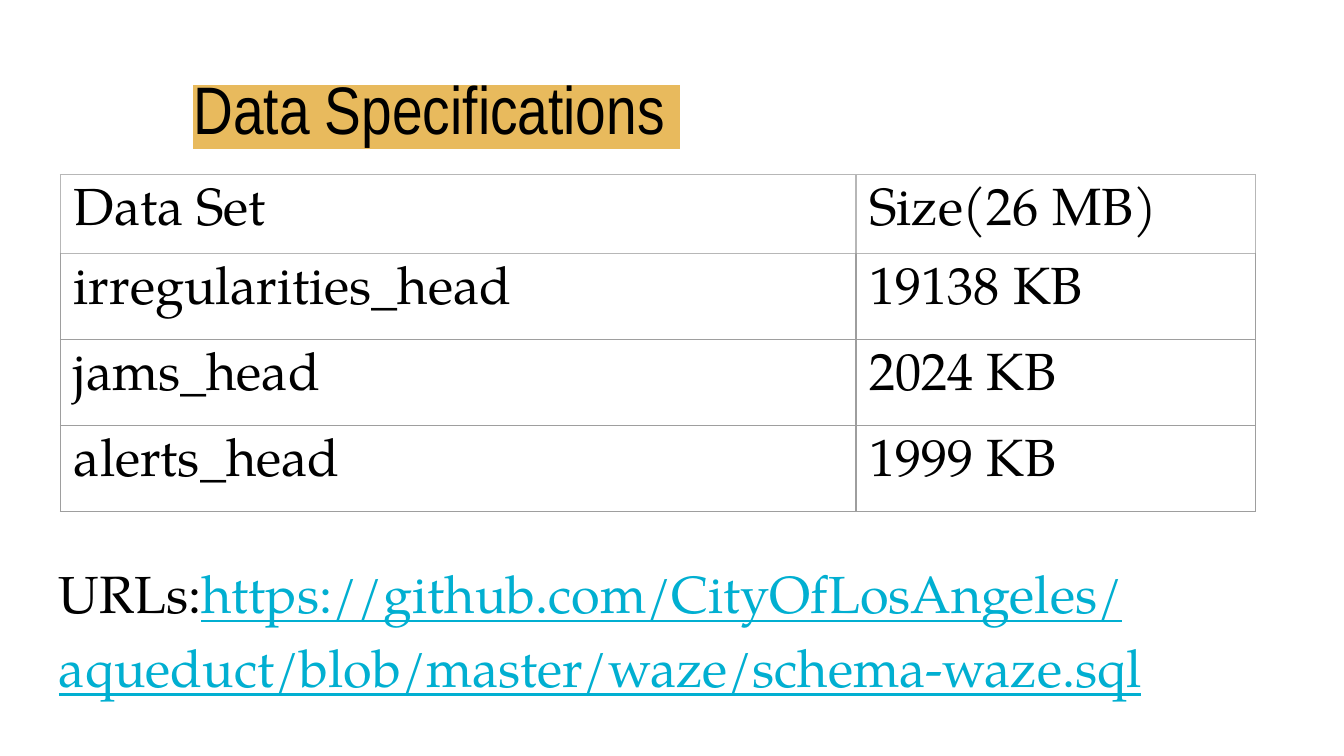
from lxml.etree import SubElement
from pptx import Presentation
from pptx.dml.color import RGBColor
from pptx.enum.text import MSO_ANCHOR
from pptx.oxml import parse_xml
from pptx.oxml.ns import nsdecls, qn
from pptx.util import Inches, Pt

TITLE = "Data Specifications "
ROWS = [
    ("Data Set", "Size(26 MB)"),
    ("irregularities_head", "19138 KB"),
    ("jams_head", "2024 KB"),
    ("alerts_head", "1999 KB"),
]
URL_LABEL = "URLs:"
URL = "https://github.com/CityOfLosAngeles/aqueduct/blob/master/waze/schema-waze.sql"

THEME = {
    "ink": "000000",
    "link": "01AFD1",
    "highlight": "E8BA5D",
    "head_border": "B7B7B7",
    "body_border": "9E9E9E",
    "title": {"name": "Arial Narrow", "size": Pt(36)},
    "body": {"name": "TeX Gyre Pagella", "size": Pt(28)},
    "line_spacing": Pt(39.6),
    "border": Pt(0.75),
}
PAGE_WIDTH = 10
PAGE_HEIGHT = PAGE_WIDTH * 9 / 16
INSET = 0.1
CELL_MARGINS = {"left": INSET, "right": INSET, "top": INSET, "bottom": 0.02}
COLUMN_WIDTHS = (5.92, 2.97)
ROW_HEIGHTS = (0.37, 0.64, 0.64, 0.64)


def set_all(target, values):
    for name, value in values.items():
        setattr(target, name, value)


def margins(sizes):
    return {f"margin_{side}": Inches(size) for side, size in sizes.items()}


def add_span(para, text, style, color, **extra):
    span = para.add_run()
    span.text = text
    set_all(span.font, {**style, **extra})
    span.font.color.rgb = RGBColor.from_string(color)
    return span


def add_box(page, left, top, width, height):
    box = page.shapes.add_textbox(*map(Inches, (left, top, width, height)))
    set_all(box.text_frame, {
        "word_wrap": True,
        "vertical_anchor": MSO_ANCHOR.TOP,
        **margins(dict.fromkeys(CELL_MARGINS, INSET)),
    })
    return box.text_frame.paragraphs[0]


def highlight(span, color):
    mark = parse_xml(f'<a:highlight {nsdecls("a")}><a:srgbClr val="{color}"/></a:highlight>')
    span._r.rPr.find(qn("a:solidFill")).addnext(mark)


def set_borders(cell, colors):
    properties = cell._tc.get_or_add_tcPr()
    for index, (side, color) in enumerate(colors.items()):
        line = SubElement(properties, qn(f"a:ln{side}"), w=str(int(THEME["border"])))
        fill = SubElement(line, qn("a:solidFill"))
        SubElement(fill, qn("a:srgbClr"), val=color)
        properties.insert(index, line)


def add_data_table(page):
    frame = page.shapes.add_table(
        len(ROWS), len(COLUMN_WIDTHS), Inches(0.45), Inches(1.3),
        Inches(sum(COLUMN_WIDTHS)), Inches(sum(ROW_HEIGHTS)))
    table = frame.table
    set_all(table, {"first_row": False, "horz_banding": False})
    for column, width in zip(table.columns, COLUMN_WIDTHS):
        column.width = Inches(width)
    for row, height in zip(table.rows, ROW_HEIGHTS):
        row.height = Inches(height)
    for row_index, values in enumerate(ROWS):
        color = THEME["body_border" if row_index else "head_border"]
        top_color = THEME["head_border" if row_index < 2 else "body_border"]
        for column_index, value in enumerate(values):
            cell = table.cell(row_index, column_index)
            set_all(cell, margins(CELL_MARGINS))
            cell.fill.background()
            set_borders(cell, {"L": color, "R": color, "T": top_color, "B": color})
            add_span(cell.text_frame.paragraphs[0], value, THEME["body"], THEME["ink"])


def main():
    deck = Presentation()
    set_all(deck, {"slide_width": Inches(PAGE_WIDTH), "slide_height": Inches(PAGE_HEIGHT)})
    page = deck.slides.add_slide(deck.slide_layouts[6])

    para = add_box(page, 1.34, 0.4, 8.32, 0.63)
    highlight(add_span(para, TITLE, THEME["title"], THEME["ink"]), THEME["highlight"])

    para = add_box(page, 0.34, 3.99, 9.32, 1.46)
    para.line_spacing = THEME["line_spacing"]
    add_span(para, URL_LABEL, THEME["body"], THEME["ink"])
    add_span(para, URL, THEME["body"], THEME["link"], underline=True)

    add_data_table(page)
    deck.save("out.pptx")


if __name__ == "__main__":
    main()
